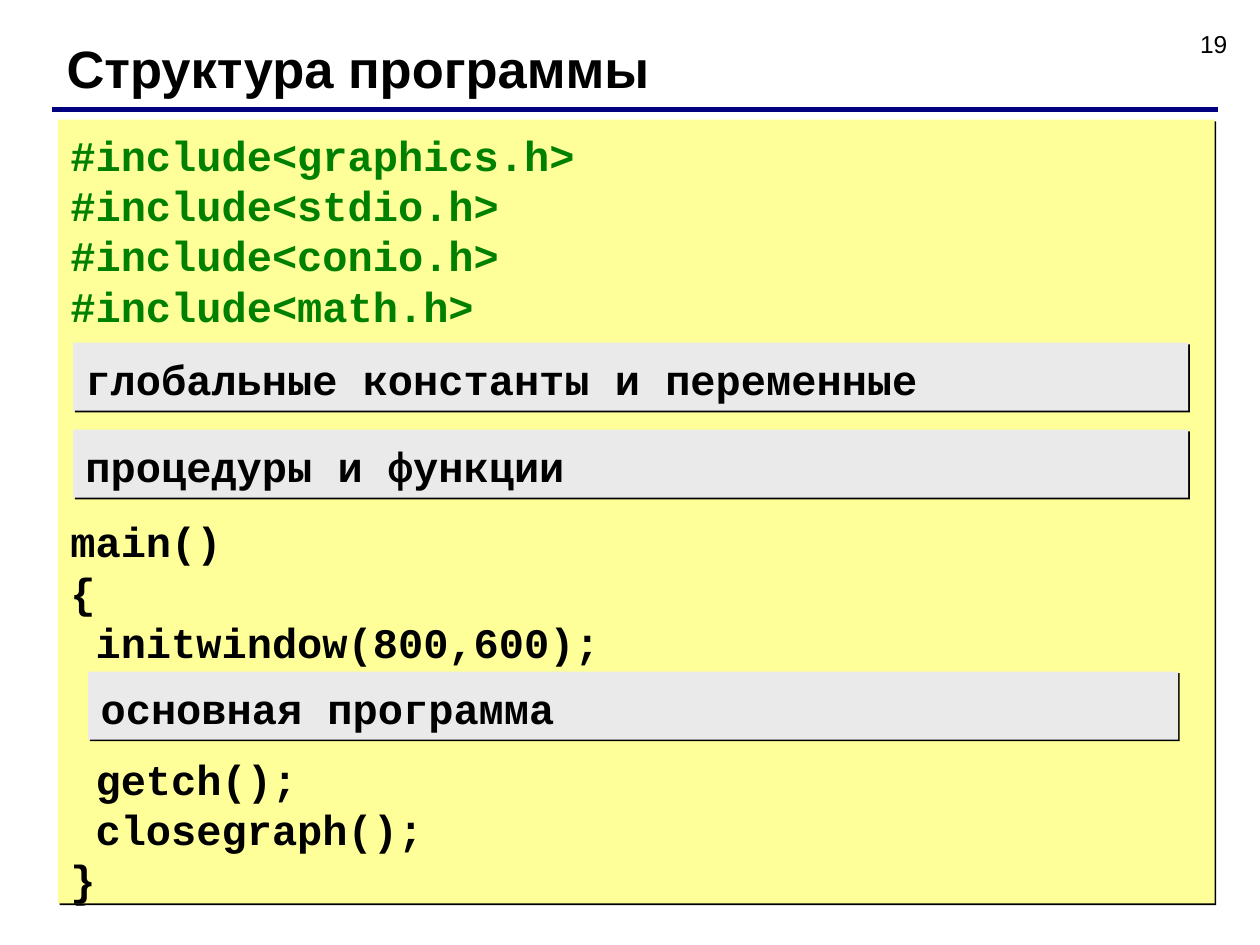
from lxml import etree
from pptx import Presentation
from pptx.dml.color import RGBColor
from pptx.enum.shapes import MSO_CONNECTOR, MSO_SHAPE
from pptx.enum.text import MSO_ANCHOR, PP_ALIGN
from pptx.oxml import parse_xml
from pptx.oxml.ns import nsdecls, qn
from pptx.util import Inches, Pt

SHADOW = (f'<a:effectLst {nsdecls("a")}><a:outerShdw dist="17780" dir="2700000" '
          'algn="ctr" rotWithShape="0"><a:srgbClr val="000000"/>'
          '</a:outerShdw></a:effectLst>')


def rgb(value):
    return RGBColor.from_string(value)


def write(sp, lines, font, size, bold=True, align=PP_ALIGN.LEFT):
    """Fill a shape with paragraphs given as (text, colour, space before)."""
    tf = sp.text_frame
    tf.margin_top = Inches(0.08)
    for i, (text, color, before) in enumerate(lines):
        p = tf.paragraphs[0] if i == 0 else tf.add_paragraph()
        p.text = text
        p.alignment = align
        if before:
            p.space_before = Pt(before)
        p.font.name, p.font.size, p.font.bold = font, Pt(size), bold
        p.font.color.rgb = rgb(color)
    return tf


prs = Presentation()
prs.slide_width, prs.slide_height = Inches(10), Inches(7.5)
s = prs.slides.add_slide(prs.slide_layouts[6])

# Page number, rule and title
number = s.shapes.add_textbox(Inches(7.51), Inches(0.15), Inches(2.33), Inches(0.52))
write(number, [("19", "000000", 0)], "Arial", 14, False, PP_ALIGN.RIGHT).word_wrap = True

rule = s.shapes.add_connector(MSO_CONNECTOR.STRAIGHT, Inches(0.41), Inches(0.87),
                              Inches(9.67), Inches(0.87))
rule.line.color.rgb = rgb("000080")
rule.line.width = Pt(3)
etree.SubElement(rule._element.spPr, qn("a:effectLst"))

title = s.shapes.add_textbox(Inches(0.43), Inches(0.21), Inches(8.9), Inches(0.6))
write(title, [("Структура программы", "000000", 0)], "Arial", 30).word_wrap = True

# Code panel, with gaps left for the placeholder bars
headers = ["graphics", "stdio", "conio", "math"]
code = [(f"#include<{name}.h>", "008000", 0) for name in headers]
code += [(text, "000000", before) for text, before in [
    ("main()", 106), ("{", 0), (" initwindow(800,600);", 0),
    (" getch();", 49.5), (" closegraph();", 0), ("}", 0)]]

panels = [
    (0.46, 0.95, 9.18, 6.22, "FFFF99", MSO_ANCHOR.TOP, code),
    (0.58, 2.72, 8.85, 0.54, "EAEAEA", MSO_ANCHOR.MIDDLE,
     [("глобальные константы и переменные", "000000", 0)]),
    (0.58, 3.41, 8.85, 0.54, "EAEAEA", MSO_ANCHOR.MIDDLE,
     [("процедуры и функции", "000000", 0)]),
    (0.7, 5.33, 8.65, 0.54, "EAEAEA", MSO_ANCHOR.MIDDLE,
     [("основная программа", "000000", 0)]),
]
for x, y, w, h, fill, anchor, lines in panels:
    sp = s.shapes.add_shape(MSO_SHAPE.RECTANGLE, Inches(x), Inches(y), Inches(w), Inches(h))
    sp.fill.solid()
    sp.fill.fore_color.rgb = rgb(fill)
    sp.line.fill.background()
    sp._element.spPr.append(parse_xml(SHADOW))
    tf = write(sp, lines, "Courier New", 24)
    tf.word_wrap = False
    tf.vertical_anchor = anchor
    for p in tf.paragraphs:
        p.line_spacing = Pt(28.7)

prs.save("out.pptx")
